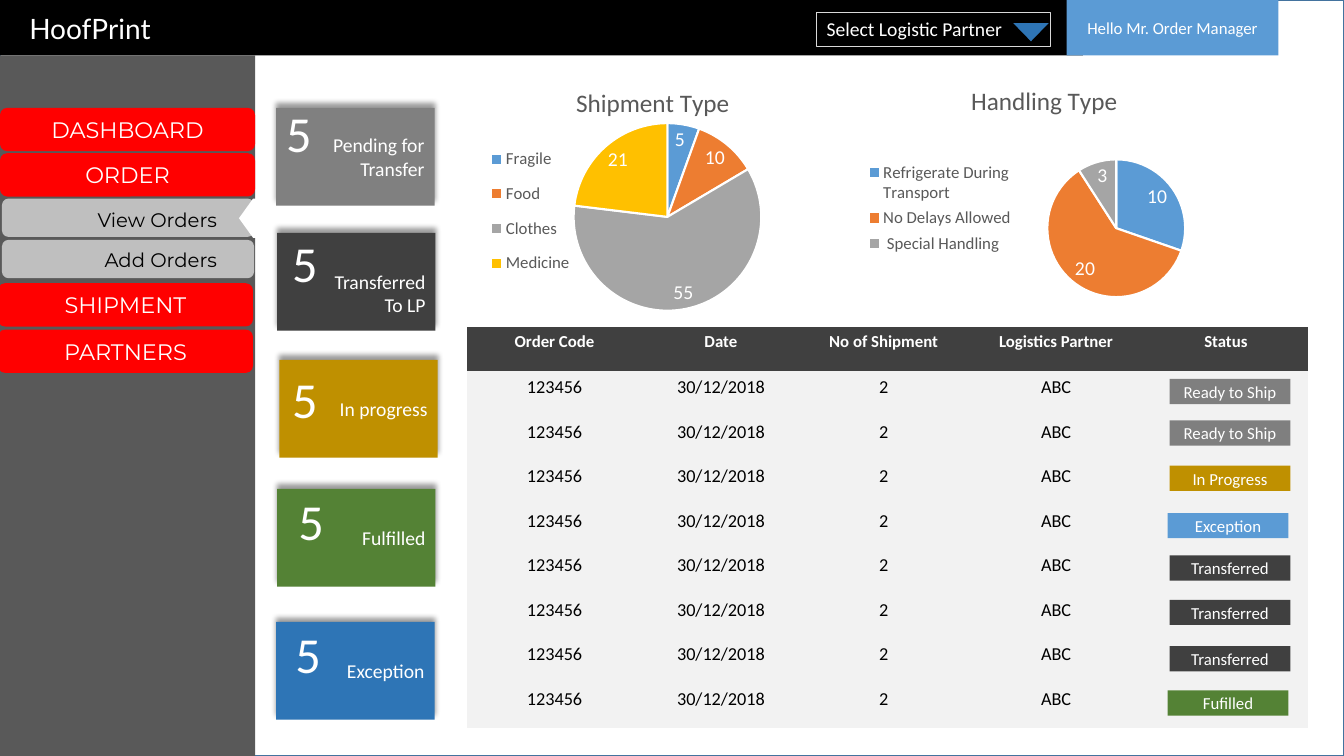
from dataclasses import dataclass
from typing import Optional

from lxml.etree import SubElement
from pptx import Presentation
from pptx.chart.data import CategoryChartData
from pptx.dml.color import RGBColor
from pptx.enum.chart import XL_CHART_TYPE, XL_LABEL_POSITION, XL_LEGEND_POSITION
from pptx.enum.shapes import MSO_SHAPE
from pptx.enum.text import MSO_ANCHOR, PP_ALIGN
from pptx.oxml import parse_xml
from pptx.oxml.ns import nsdecls, qn
from pptx.util import Inches, Pt

WHITE = RGBColor(0xFF, 0xFF, 0xFF)
BLACK = RGBColor(0x00, 0x00, 0x00)
RED = RGBColor(0xFF, 0x00, 0x00)
SLATE = RGBColor(0x59, 0x59, 0x59)
CHARCOAL = RGBColor(0x40, 0x40, 0x40)
MID_GRAY = RGBColor(0x80, 0x80, 0x80)
TAG_GRAY = RGBColor(0x7F, 0x7F, 0x7F)
SILVER = RGBColor(0xBF, 0xBF, 0xBF)
PALE = RGBColor(0xF2, 0xF2, 0xF2)
OUTLINE_GRAY = RGBColor(0xD9, 0xD9, 0xD9)
FRAME_BLUE = RGBColor(0x43, 0x73, 0x9E)
SKY = RGBColor(0x5B, 0x9B, 0xD5)
BLUE = RGBColor(0x2E, 0x75, 0xB6)
GOLD = RGBColor(0xBF, 0x90, 0x00)
GREEN = RGBColor(0x54, 0x82, 0x35)
ORANGE = RGBColor(0xED, 0x7D, 0x31)
ASH = RGBColor(0xA5, 0xA5, 0xA5)
YELLOW = RGBColor(0xFF, 0xC0, 0x00)
SLICE_COLORS = (SKY, ORANGE, ASH, YELLOW)
NO_TABLE_STYLE = "{2D5ABB26-0587-4C30-8999-92F81FD0307C}"

Rect = tuple[float, float, float, float]


@dataclass
class Box:
    rect: Rect
    fill: Optional[RGBColor] = None
    text: str = ""
    size: float = 12
    font: str = "Calibri"
    color: RGBColor = WHITE
    align: PP_ALIGN = PP_ALIGN.CENTER
    anchor: MSO_ANCHOR = MSO_ANCHOR.MIDDLE
    kind: MSO_SHAPE = MSO_SHAPE.RECTANGLE
    line: Optional[RGBColor] = None
    line_width: float = 1
    rotation: float = 0
    shadow_angle: Optional[int] = None
    margin_top: float = 0.05


@dataclass
class Card:
    left: float
    top: float
    fill: RGBColor
    label: str
    count_left: float
    count_top: float
    margin_top: float = 0.05


@dataclass
class Pie:
    rect: Rect
    title: str
    slices: dict[str, int]
    title_at: tuple[float, float]
    legend_area: Rect
    plot_area: Rect


def write(frame, text: str, size: float, font: str, color: RGBColor,
          align: PP_ALIGN, bold: bool = False) -> None:
    frame.text = text
    for paragraph in frame.paragraphs:
        paragraph.alignment = align
        for run in paragraph.runs:
            run.font.size, run.font.name, run.font.bold = Pt(size), font, bold
            run.font.color.rgb = color


def draw_box(slide, box: Box):
    shape = slide.shapes.add_shape(box.kind, *map(Inches, box.rect))
    shape.rotation = box.rotation
    shape.shadow.inherit = False
    if box.fill is None:
        shape.fill.background()
    else:
        shape.fill.solid()
        shape.fill.fore_color.rgb = box.fill
    if box.line is None:
        shape.line.fill.background()
    else:
        shape.line.color.rgb = box.line
        shape.line.width = Pt(box.line_width)
    if box.shadow_angle is not None:
        effects = shape.element.spPr.find(qn("a:effectLst"))
        effects.append(parse_xml(
            f'<a:outerShdw {nsdecls("a")} blurRad="{Pt(4)}" dist="{Pt(3)}" '
            f'dir="{box.shadow_angle * 60000}" rotWithShape="0"><a:srgbClr val="000000">'
            '<a:alpha val="40000"/></a:srgbClr></a:outerShdw>'))
    if box.text:
        frame = shape.text_frame
        frame.word_wrap = True
        frame.vertical_anchor = box.anchor
        frame.margin_top = Inches(box.margin_top)
        write(frame, box.text, box.size, box.font, box.color, box.align)
    return shape


def draw_card(slide, card: Card) -> None:
    draw_box(slide, Box((card.left, card.top, 1.57, 0.97), card.fill, card.label, 14,
                        align=PP_ALIGN.RIGHT, shadow_angle=270, margin_top=card.margin_top))
    count = slide.shapes.add_textbox(*map(Inches, (card.count_left, card.count_top, 0.29, 0.71)))
    count.text_frame.word_wrap = True
    write(count.text_frame, "5", 36, "Calibri", WHITE, PP_ALIGN.LEFT)


def place(element, area: tuple, inner: bool = False) -> None:
    """Give a chart part a fixed place, in fractions of the chart."""
    layout = element.find(qn("c:layout"))
    if layout is None:
        layout = parse_xml(f'<c:layout {nsdecls("c")}/>')
        before = element.find(qn("c:tx"))
        if before is None:
            before = element.find(qn("c:legendPos"))
        if before is None:
            element.insert(0, layout)
        else:
            before.addnext(layout)
    manual = SubElement(layout, qn("c:manualLayout"))
    if inner:
        SubElement(manual, qn("c:layoutTarget")).set("val", "inner")
    for name in ("xMode", "yMode"):
        SubElement(manual, qn(f"c:{name}")).set("val", "edge")
    for name, value in zip("xywh", area):
        SubElement(manual, qn(f"c:{name}")).set("val", str(value))


def draw_pie(slide, pie: Pie) -> None:
    data = CategoryChartData()
    data.categories = list(pie.slices)
    data.add_series("Series 1", list(pie.slices.values()))
    chart = slide.shapes.add_chart(XL_CHART_TYPE.PIE, *map(Inches, pie.rect), data).chart
    chart.font.name, chart.font.size = "Calibri", Pt(10)
    chart.has_title = True
    write(chart.chart_title.text_frame, pie.title, 18, "Calibri", SLATE, PP_ALIGN.CENTER)
    chart.has_legend = True
    legend = chart.legend
    legend.position = XL_LEGEND_POSITION.LEFT
    legend.include_in_layout = False
    legend.font.name, legend.font.size = "Calibri", Pt(12)
    legend.font.color.rgb = SLATE
    plot = chart.plots[0]
    plot.vary_by_categories = True
    for index, color in enumerate(SLICE_COLORS[:len(pie.slices)]):
        point = plot.series[0].points[index].format
        point.fill.solid()
        point.fill.fore_color.rgb = color
        point.line.color.rgb = WHITE
        point.line.width = Pt(1.5)
    plot.has_data_labels = True
    labels = plot.data_labels
    labels.show_value, labels.show_percentage = True, False
    labels.position = XL_LABEL_POSITION.BEST_FIT
    labels.font.name, labels.font.size = "Calibri", Pt(14)
    labels.font.color.rgb = WHITE
    parts = chart.element.chart
    place(parts.find(qn("c:title")), pie.title_at)
    place(parts.find(qn("c:legend")), pie.legend_area)
    place(parts.plotArea, pie.plot_area, inner=True)


def draw_orders(slide) -> None:
    rows = [("Order Code", "Date", "No of Shipment", "Logistics Partner", "Status")]
    rows += [("123456", "30/12/2018", "2", "ABC", "")] * 8
    orders = slide.shapes.add_table(9, 5, *map(Inches, (4.63, 3.24, 8.34, 3.98))).table
    properties = orders._tbl.tblPr
    properties.find(qn("a:tableStyleId")).text = NO_TABLE_STYLE
    for column, width in zip(orders.columns, (1.74, 1.56, 1.67, 1.75, 1.62)):
        column.width = Inches(width)
    for row_index, values in enumerate(rows):
        header = row_index == 0
        for cell, value in zip(orders.rows[row_index].cells, values):
            cell.fill.solid()
            cell.fill.fore_color.rgb = CHARCOAL if header else PALE
            write(cell.text_frame, value, 12 if header else 13, "Calibri",
                  WHITE if header else BLACK, PP_ALIGN.CENTER, header)


def main() -> None:
    deck = Presentation()
    deck.slide_width, deck.slide_height = Inches(13.33), Inches(7.5)
    slide = deck.slides.add_slide(deck.slide_layouts[5])

    # Frame, header and sidebar
    title = slide.shapes.title
    for backdrop in (Box((0, 0, 13.33, 7.5), line=FRAME_BLUE), Box((0, 0, 10.74, 0.55), BLACK)):
        title.element.addprevious(draw_box(slide, backdrop).element)
    title.left, title.top, title.width, title.height = map(Inches, (0.19, 0.06, 3.45, 0.44))
    title.text_frame.vertical_anchor = MSO_ANCHOR.TOP
    write(title.text_frame, "HoofPrint", 20, "Lato", WHITE, PP_ALIGN.LEFT)
    draw_box(slide, Box((0, 0.55, 2.53, 6.95), SLATE))
    draw_box(slide, Box((10.58, 0, 2.1, 0.55), SKY, "Hello Mr. Order Manager"))

    # Navigation
    for left, top, label in ((0, 1.07, "DASHBOARD"), (0, 1.52, "ORDER"),
                             (-0.02, 2.81, "SHIPMENT"), (-0.02, 3.27, "PARTNERS")):
        draw_box(slide, Box((left, top, 2.53, 0.43), RED, label, 16, "Montserrat",
                            kind=MSO_SHAPE.ROUNDED_RECTANGLE))
    for top, label_top, label in ((1.97, 2, "View Orders"), (2.38, 2.39, "Add Orders")):
        draw_box(slide, Box((0.02, top, 2.5, 0.38), SILVER, kind=MSO_SHAPE.ROUNDED_RECTANGLE))
        draw_box(slide, Box((0.19, label_top, 2.08, 0.37), None, label, 14, "Montserrat", BLACK,
                            PP_ALIGN.RIGHT, MSO_ANCHOR.TOP, MSO_SHAPE.ROUNDED_RECTANGLE))
    draw_box(slide, Box((2.37, 1.97, 0.28, 0.39), WHITE, kind=MSO_SHAPE.PENTAGON, rotation=180))

    # Status cards
    for card in (Card(2.74, 1.07, MID_GRAY, "Pending for Transfer", 2.74, 0.96),
                 Card(2.75, 2.31, CHARCOAL, "Transferred\nTo LP", 2.8, 2.25, 0.28),
                 Card(2.77, 3.57, GOLD, "In progress", 2.8, 3.6),
                 Card(2.75, 4.85, GREEN, "Fulfilled", 2.86, 4.81),
                 Card(2.74, 6.17, BLUE, "Exception", 2.83, 6.13)):
        draw_card(slide, card)

    # Charts and partner selector
    draw_pie(slide, Pie((4.05, 0.63, 4.76, 2.82), "Shipment Type",
                        {"Fragile": 5, "Food": 10, "Clothes": 55, "Medicine": 21},
                        (0.34, 0.06), (0.16, 0.25, 0.19, 0.54), (0.34, 0.21, 0.4, 0.66)))
    draw_box(slide, Box((8.1, 0.12, 2.32, 0.34), None, "Select Logistic Partner", 14,
                        align=PP_ALIGN.LEFT, anchor=MSO_ANCHOR.TOP, line=OUTLINE_GRAY,
                        line_width=0.75, shadow_angle=45))
    draw_box(slide, Box((10.05, 0.23, 0.35, 0.18), BLUE, kind=MSO_SHAPE.ISOSCELES_TRIANGLE,
                        rotation=180))
    draw_pie(slide, Pie((7.68, 0.59, 5.3, 2.68), "Handling Type",
                        {"Refrigerate During Transport": 10, "No Delays Allowed": 20,
                         " Special Handling": 3},
                        (0.36, 0.07), (0.17, 0.36, 0.28, 0.38), (0.51, 0.37, 0.26, 0.51)))

    # Orders with status tags
    draw_orders(slide)
    for left, top, fill, label in (
            (11.6, 3.76, TAG_GRAY, "Ready to Ship"), (11.6, 4.17, TAG_GRAY, "Ready to Ship"),
            (11.6, 4.62, GOLD, "In Progress"), (11.58, 5.09, SKY, "Exception"),
            (11.6, 5.51, CHARCOAL, "Transferred"), (11.6, 5.95, CHARCOAL, "Transferred"),
            (11.6, 6.41, CHARCOAL, "Transferred"), (11.58, 6.85, GREEN, "Fufilled")):
        draw_box(slide, Box((left, top, 1.2, 0.25), fill, label))

    deck.save("out.pptx")


if __name__ == "__main__":
    main()
